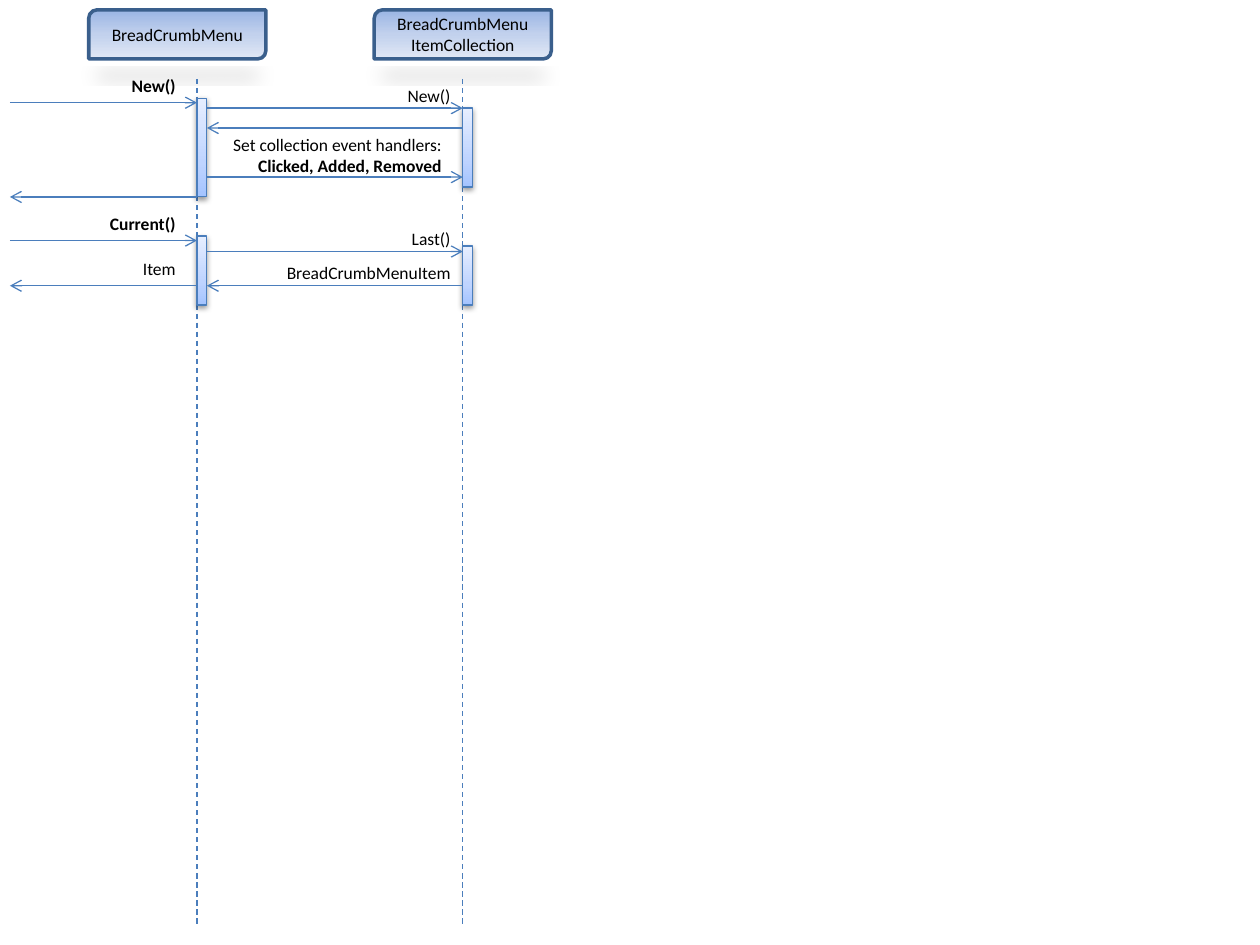
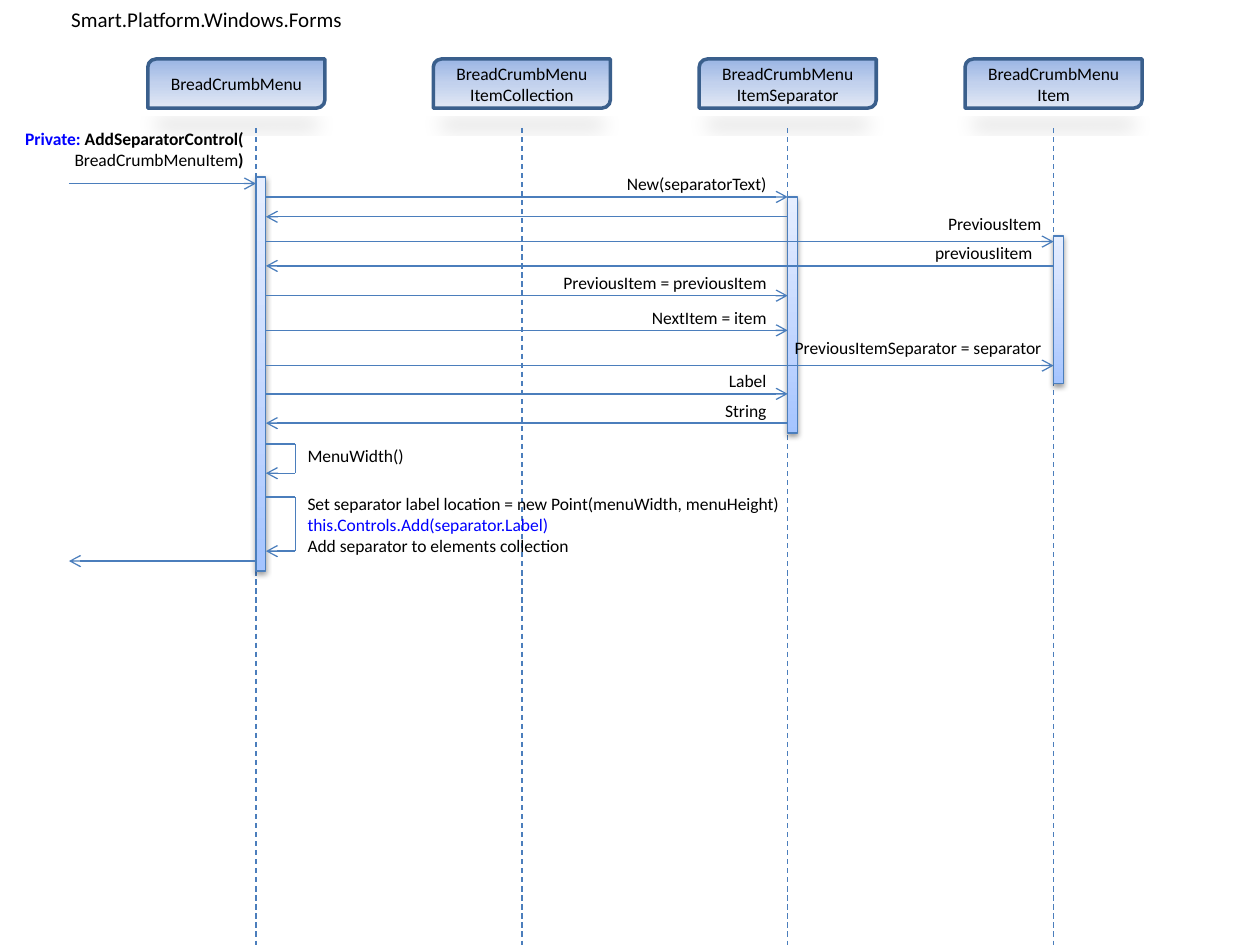
from dataclasses import dataclass

from lxml import etree
from pptx import Presentation
from pptx.dml.color import RGBColor
from pptx.enum.dml import MSO_LINE
from pptx.enum.shapes import MSO_CONNECTOR, MSO_SHAPE
from pptx.enum.text import MSO_ANCHOR, MSO_AUTO_SIZE, PP_ALIGN
from pptx.oxml.ns import qn
from pptx.util import Cm, Pt

STRAIGHT = MSO_CONNECTOR.STRAIGHT
HEAD_SHAPE, BAR_SHAPE = MSO_SHAPE.ROUND_2_DIAG_RECTANGLE, MSO_SHAPE.RECTANGLE
DASH = MSO_LINE.DASH
TOP, MIDDLE = MSO_ANCHOR.TOP, MSO_ANCHOR.MIDDLE
LEFT, CENTER, RIGHT = PP_ALIGN.LEFT, PP_ALIGN.CENTER, PP_ALIGN.RIGHT
GROW, FIXED = MSO_AUTO_SIZE.SHAPE_TO_FIT_TEXT, MSO_AUTO_SIZE.NONE

FONT = "Calibri"
COLOURS = {"ink": "000000", "code": "0000FF", "line": "4B7EBC", "head_line": "3A5F8C"}
HEAD_STOPS = [(0, "9AB5E4"), (50, "C2D1ED"), (100, "E1E8F5")]
BAR_STOPS = [(0, "A4C4FF"), (35, "BFD4FF"), (100, "E6EEFF")]
HEAD_SHADOW = {"blurRad": Pt(12), "dist": Pt(7), "dir": 5400000,
               "sx": 90000, "sy": -19000, "rotWithShape": 0}
BAR_SHADOW = {"blurRad": Pt(3.1), "dist": Pt(1.6), "dir": 5400000, "rotWithShape": 0}

# Shared geometry of the sequence diagrams, in centimetres
LANE_STEP = 5.36
HEAD_WIDTH, HEAD_HEIGHT = 3.57, 0.99
STEM_DROP = 1.39
BAR_WIDTH = 0.2
CALLER_REACH = 3.77
LOOP_WIDTH = 0.59
CALLER, MENU, COLLECTION, SEPARATOR, ITEM = -1, 0, 1, 2, 3


@dataclass
class Lane:
    name: list
    bars: list  # (top, height)


@dataclass
class Message:
    sender: int
    receiver: int
    y: float
    lines: tuple = ()
    width: float = 0
    lift: float = 0.6  # from label top to arrow
    gap: float = 0.18  # from label to the arrow's right end


@dataclass
class Diagram:
    stem: float  # x of the first lifeline
    top: float
    bottom: float
    lanes: list

    def stem_x(self, lane):
        return self.stem + lane * LANE_STEP

    def ends(self, message):
        """Horizontal start and end of a message arrow."""
        rightward = message.sender < message.receiver

        def edge(lane, right_side):
            if lane == CALLER:
                return self.stem - CALLER_REACH
            return self.stem_x(lane) + (BAR_WIDTH if right_side else 0)

        return edge(message.sender, rightward), edge(message.receiver, not rightward)


def plain(text):
    return [(text, "ink", False)]


def bold(text):
    return [(text, "ink", True)]


def rgb(name):
    return RGBColor.from_string(COLOURS[name])


def add_xml(parent, tag, **attributes):
    return etree.SubElement(parent, qn(tag), {k: str(v) for k, v in attributes.items()})


def write_lines(frame, lines, align, size=10):
    frame.word_wrap = True
    for number, spans in enumerate(lines):
        para = frame.paragraphs[0] if number == 0 else frame.add_paragraph()
        para.alignment = align
        for text, colour, is_bold in spans:
            span = para.add_run()
            span.text = text
            span.font.name, span.font.size, span.font.bold = FONT, Pt(size), is_bold
            span.font.color.rgb = rgb(colour)


def add_label(page, left, top, width, lines, align):
    box = page.shapes.add_textbox(Cm(left), Cm(top), Cm(width), Cm(0.25 + 0.43 * len(lines)))
    write_lines(box.text_frame, lines, align)
    box.text_frame.auto_size = GROW


def add_line(page, start, end, arrow=False, dashed=False):
    line = page.shapes.add_connector(STRAIGHT, *(Cm(v) for v in (*start, *end)))
    line.line.color.rgb = rgb("line")
    line.line.width = Pt(0.75)
    if dashed:
        line.line.dash_style = DASH
    properties = line.element.spPr
    if arrow:
        add_xml(properties.find(qn("a:ln")), "a:tailEnd", type="arrow")
    add_xml(properties, "a:effectLst")


def add_shaded(page, kind, box, stops, angle, outline, weight, shadow, opacity):
    """Shape with a gradient fill, an outline and a soft shadow."""
    shape = page.shapes.add_shape(kind, *(Cm(v) for v in box))
    shape.fill.gradient()
    shape.fill.gradient_angle = angle
    properties = shape.element.spPr
    stop_list = properties.find(qn("a:gradFill")).find(qn("a:gsLst"))
    for stop in list(stop_list):
        stop_list.remove(stop)
    for position, colour in stops:
        stop = add_xml(stop_list, "a:gs", pos=position * 1000)
        add_xml(stop, "a:srgbClr", val=colour)
    shape.line.color.rgb = rgb(outline)
    shape.line.width = Pt(weight)
    shape.shadow.inherit = False
    outer = add_xml(properties.find(qn("a:effectLst")), "a:outerShdw", **shadow)
    add_xml(add_xml(outer, "a:srgbClr", val=COLOURS["ink"]), "a:alpha", val=opacity * 1000)
    return shape


def add_lane(page, diagram, number):
    """Header, dashed lifeline and activation bars."""
    lane, x = diagram.lanes[number], diagram.stem_x(number)
    head_left = x - (2.18 if number == 0 else HEAD_WIDTH / 2)
    head = add_shaded(page, HEAD_SHAPE, (head_left, diagram.top, HEAD_WIDTH, HEAD_HEIGHT),
                      HEAD_STOPS, 270, "head_line", 2, HEAD_SHADOW, 15)
    head.text_frame.vertical_anchor = MIDDLE
    write_lines(head.text_frame, [plain(part) for part in lane.name], CENTER)
    add_line(page, (x, diagram.top + STEM_DROP), (x, diagram.bottom), dashed=True)
    for top, height in lane.bars:
        add_shaded(page, BAR_SHAPE, (x, top, BAR_WIDTH, height),
                   BAR_STOPS, 90, "line", 0.75, BAR_SHADOW, 38)


def add_message(page, diagram, message):
    """Arrow between two lanes with its label above the right end."""
    start, end = diagram.ends(message)
    add_line(page, (start, message.y), (end, message.y), arrow=True)
    if message.lines:
        left = max(start, end) - message.gap - message.width
        add_label(page, left, message.y - message.lift, message.width, message.lines, RIGHT)


def add_self_call(page, diagram, top, bottom, label_top, width, lines):
    """Loop from the menu's bar back to itself, with a label on its right."""
    near = diagram.stem + BAR_WIDTH
    far = near + LOOP_WIDTH
    add_line(page, (near, top), (far, top))
    add_line(page, (far, top), (far, bottom))
    add_line(page, (far, bottom), (near, bottom), arrow=True)
    add_label(page, far, label_top, width, lines, LEFT)


def add_diagram(page, diagram, messages):
    for number in range(len(diagram.lanes)):
        add_lane(page, diagram, number)
    for message in messages:
        add_message(page, diagram, message)


def add_title(page, text):
    title = page.shapes.title
    title.left, title.top, title.width, title.height = Cm(0), Cm(0), Cm(8.33), Cm(0.77)
    title.text_frame.vertical_anchor = TOP
    title.text_frame.auto_size = FIXED
    write_lines(title.text_frame, [plain(text)], CENTER, size=12)


def build_creation_page(deck):
    page = deck.slides.add_slide(deck.slide_layouts[6])
    diagram = Diagram(3.97, 0.2, 18.65, [
        Lane(["BreadCrumbMenu"], [(1.98, 1.98), (4.76, 1.39)]),
        Lane(["BreadCrumbMenu", "ItemCollection"], [(2.18, 1.59), (4.96, 1.19)]),
    ])
    handlers = [plain("Set collection event handlers:"), bold("Clicked, Added, Removed")]
    add_diagram(page, diagram, [
        # Construction
        Message(CALLER, MENU, 2.07, [bold("New()")], 2.21, 0.68),
        Message(MENU, COLLECTION, 2.18, [plain("New()")], 2.18, gap=0),
        Message(COLLECTION, MENU, 2.58),
        Message(MENU, COLLECTION, 3.57, handlers, 4.78, 0.99),
        Message(MENU, CALLER, 3.97),
        # Current item
        Message(CALLER, MENU, 4.85, [bold("Current()")], 2.21, 0.68),
        Message(MENU, COLLECTION, 5.07, [plain("Last()")], 2.18, gap=0),
        Message(COLLECTION, MENU, 5.76, [plain("BreadCrumbMenuItem")], 3.96, gap=0),
        Message(MENU, CALLER, 5.76, [plain("Item")], 1.4, 0.68),
    ])


def build_separator_page(deck):
    page = deck.slides.add_slide(deck.slide_layouts[5])
    add_title(page, "Smart.Platform.Windows.Forms")
    diagram = Diagram(5.16, 1.19, 19.05, [
        Lane(["BreadCrumbMenu"], [(3.57, 7.94)]),
        Lane(["BreadCrumbMenu", "ItemCollection"], []),
        Lane(["BreadCrumbMenu", "ItemSeparator"], [(3.97, 4.76)]),
        Lane(["BreadCrumbMenu", "Item"], [(4.76, 2.98)]),
    ])
    signature = [
        [("Private: ", "code", True), ("AddSeparatorControl(", "ink", True)],
        plain("BreadCrumbMenuItem") + bold(")"),
    ]
    add_diagram(page, diagram, [
        Message(CALLER, MENU, 3.7, signature, 5.16, 1.24, 0),
        Message(MENU, SEPARATOR, 3.97, [plain("New(separatorText)")], 3.81),
        Message(SEPARATOR, MENU, 4.37),
        Message(MENU, ITEM, 4.87, [plain("PreviousItem")], 3.81, 0.7, 0),
        Message(ITEM, MENU, 5.36, [plain("previousIitem")], 3.96),
        Message(MENU, SEPARATOR, 5.96, [plain("PreviousItem = previousItem")], 5.61),
        Message(MENU, SEPARATOR, 6.66, [plain("NextItem = item")], 3.81),
        Message(MENU, ITEM, 7.37, [plain("PreviousItemSeparator = separator")], 6.15, 0.7, 0),
        Message(MENU, SEPARATOR, 7.94, [plain("Label")], 3.81),
        Message(SEPARATOR, MENU, 8.53, [plain("String")], 2.62),
        Message(MENU, CALLER, 11.31),
    ])
    add_self_call(page, diagram, 8.95, 9.54, 8.84, 2.97, [plain("MenuWidth()")])
    add_self_call(page, diagram, 10.02, 11.11, 9.81, 10.92, [
        plain("Set separator label location = new Point(menuWidth, menuHeight)"),
        [("this.Controls.Add(separator.Label)", "code", False)],
        plain("Add separator to elements collection"),
    ])


def main():
    deck = Presentation()
    deck.slide_width, deck.slide_height = Cm(25.4), Cm(19.05)
    build_creation_page(deck)
    build_separator_page(deck)
    deck.save("out.pptx")


if __name__ == "__main__":
    main()
